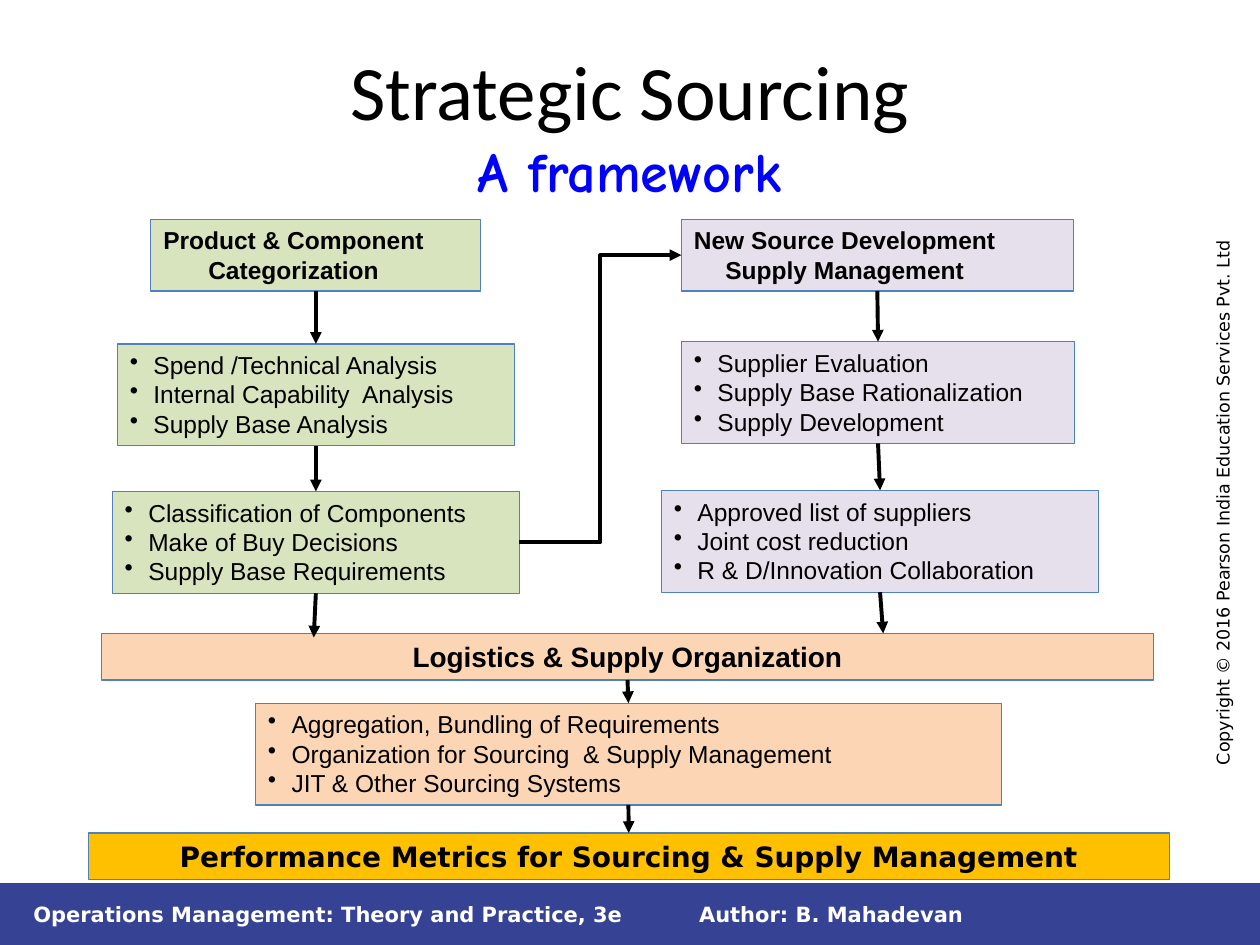
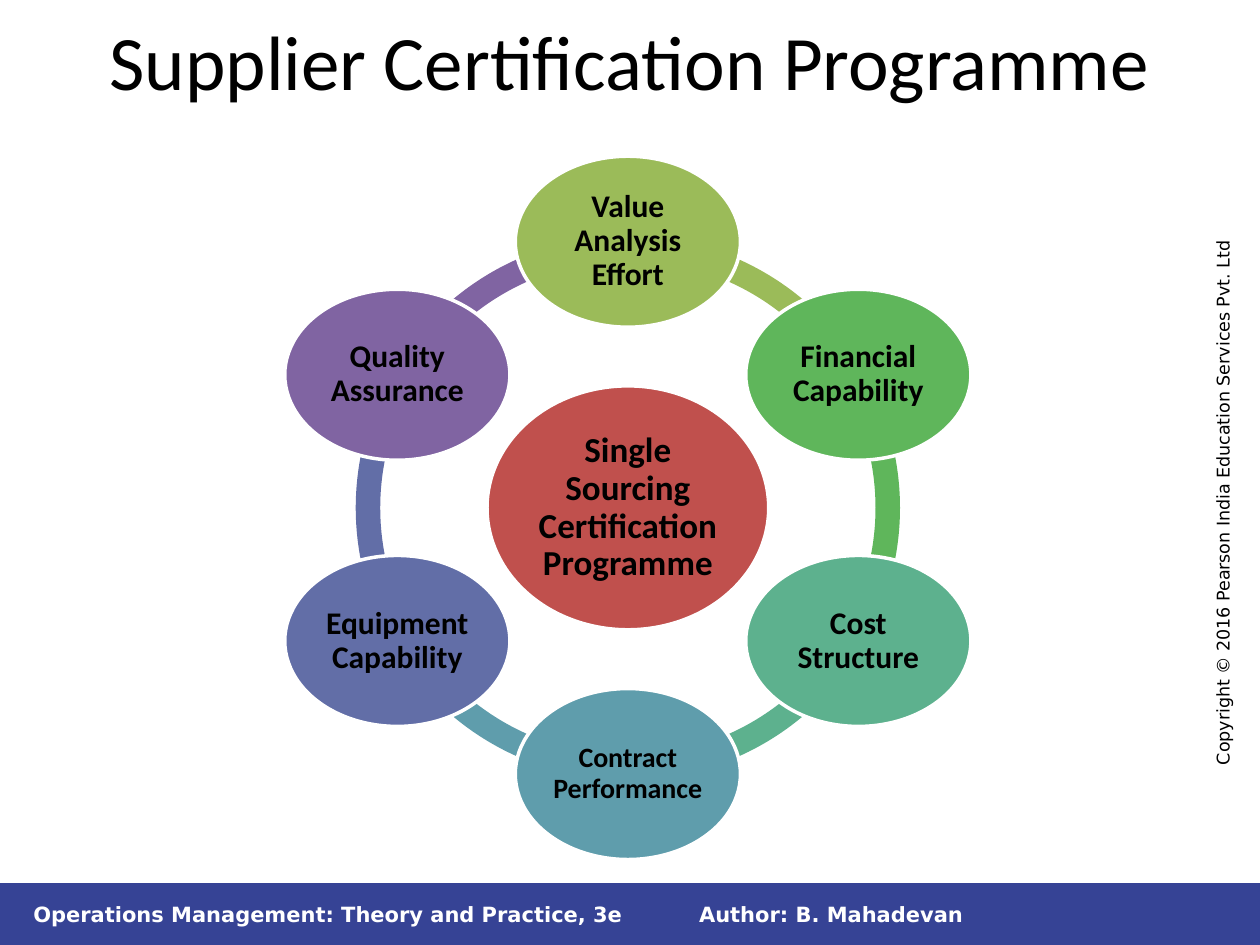
from dataclasses import dataclass
from math import cos, radians, sin
from typing import Any, NamedTuple, Optional

from lxml import etree
from pptx import Presentation
from pptx.dml.color import RGBColor
from pptx.enum.shapes import MSO_CONNECTOR as CX, MSO_SHAPE as SHAPE
from pptx.enum.text import MSO_ANCHOR as ANCHOR, MSO_AUTO_SIZE as FIT, PP_ALIGN as ALIGN
from pptx.oxml.ns import qn
from pptx.util import Pt

# Colours
BLACK = RGBColor(0x00, 0x00, 0x00)
WHITE = RGBColor(0xFF, 0xFF, 0xFF)
BLUE = RGBColor(0x00, 0x00, 0xFF)
NAVY = RGBColor(0x36, 0x43, 0x95)
BORDER = RGBColor(0x4F, 0x81, 0xBD)
GREEN = RGBColor(0xD7, 0xE4, 0xBD)
LILAC = RGBColor(0xE6, 0xE0, 0xEC)
PEACH = RGBColor(0xFC, 0xD5, 0xB5)
GOLD = RGBColor(0xFF, 0xC0, 0x00)
RED = RGBColor(0xC0, 0x50, 0x4D)
OLIVE = RGBColor(0x9B, 0xBB, 0x59)
LEAF = RGBColor(0x5F, 0xB6, 0x5B)
SEA = RGBColor(0x5D, 0xB1, 0x8E)
TEAL = RGBColor(0x5F, 0x9D, 0xAC)
INDIGO = RGBColor(0x62, 0x6E, 0xA7)
PURPLE = RGBColor(0x80, 0x64, 0xA2)

ARIAL, CALIBRI, COMIC, DEJAVU = "Arial", "Calibri", "Comic Neue", "DejaVu Sans"
TOP, LEFT, BOTTOM, RIGHT = range(4)
BULLET_INDENT = Pt(13.5)


class Rect(NamedTuple):
    left: float
    top: float
    width: float
    height: float


class Style(NamedTuple):
    font: str
    size: float
    color: RGBColor = BLACK
    bold: bool = False


TITLE = Style(CALIBRI, 44)
SUBTITLE = Style(COMIC, 32, BLUE, True)
FOOTER = Style(DEJAVU, 12, WHITE, True)
COPYRIGHT = Style(DEJAVU, 10)
HEAD = Style(ARIAL, 14, bold=True)
ITEM = Style(ARIAL, 14)
BAR = Style(ARIAL, 16, bold=True)
METRICS_BAR = Style(DEJAVU, 16, bold=True)


@dataclass
class Box:
    name: str
    rect: Rect
    fill: RGBColor
    lines: list[str]
    style: Style = ITEM
    wrap: bool = False


@dataclass
class Arrow:
    start: str
    end: Optional[str] = None
    tip: tuple[float, float] = (0, 0)
    sides: tuple[int, int] = (BOTTOM, TOP)
    kind: CX = CX.STRAIGHT


class Node(NamedTuple):
    text: str
    fill: RGBColor
    size: float = 18


def set_all(obj: Any, values: dict[str, Any]) -> None:
    for name, value in values.items():
        setattr(obj, name, value)


def add_run(p: Any, text: str, style: Style) -> None:
    r = p.add_run()
    r.text = text
    set_all(r.font, {"name": style.font, "size": Pt(style.size), "bold": style.bold})
    r.font.color.rgb = style.color


def add_bullet(p: Any) -> None:
    pPr = p._p.get_or_add_pPr()
    pPr.set("marL", str(BULLET_INDENT))
    pPr.set("indent", str(-BULLET_INDENT))
    etree.SubElement(pPr, qn("a:buChar")).set("char", "•")


def add_shape(slide: Any, kind: SHAPE, rect: Rect, fill: RGBColor,
              line: Optional[RGBColor] = None, width: float = 0.75) -> Any:
    sp = slide.shapes.add_shape(kind, *map(Pt, rect))
    sp.shadow.inherit = False
    sp.fill.solid()
    sp.fill.fore_color.rgb = fill
    if line is None:
        sp.line.fill.background()
    else:
        sp.line.color.rgb = line
        sp.line.width = Pt(width)
    return sp


def add_text(slide: Any, rect: Rect, text: str, style: Style,
             anchor: ANCHOR = ANCHOR.TOP, align: ALIGN = ALIGN.LEFT) -> Any:
    sp = slide.shapes.add_textbox(*map(Pt, rect))
    set_all(sp.text_frame, {"word_wrap": True, "vertical_anchor": anchor})
    p = sp.text_frame.paragraphs[0]
    p.alignment = align
    add_run(p, text, style)
    return sp


def add_frame(prs: Any, title: str, title_top: float, subtitle: str = "") -> Any:
    """Add a slide with the shared band, footers, copyright line and title."""
    slide = prs.slides.add_slide(prs.slide_layouts[6])
    add_shape(slide, SHAPE.RECTANGLE, Rect(0, 504.7, 720, 35.3), NAVY)
    for left, width, text in (
        (392.4, 327, "Author: B. Mahadevan"),
        (12, 360, "Operations Management: Theory and Practice, 3e"),
    ):
        add_text(slide, Rect(left, 511.4, width, 21.8), text, FOOTER, ANCHOR.MIDDLE)
    sp = add_text(slide, Rect(536.4, 272.2, 324.7, 19.4),
                  "Copyright © 2016 Pearson India Education Services Pvt. Ltd", COPYRIGHT)
    sp.rotation = 270
    sp = add_text(slide, Rect(36, title_top, 648, 90), title, TITLE, align=ALIGN.CENTER)
    if subtitle:
        p = sp.text_frame.paragraphs[0]
        p.add_line_break()
        add_run(p, subtitle, SUBTITLE)
    return slide


def add_box(slide: Any, box: Box) -> Any:
    sp = add_shape(slide, SHAPE.RECTANGLE, box.rect, box.fill, BORDER)
    tf = sp.text_frame
    set_all(tf, {"word_wrap": box.wrap, "vertical_anchor": ANCHOR.TOP,
                 "auto_size": FIT.SHAPE_TO_FIT_TEXT})
    for i, line in enumerate(box.lines):
        p = tf.add_paragraph() if i else tf.paragraphs[0]
        # A heading starts at the left and centres its second line
        centred = box.style in (BAR, METRICS_BAR) or (box.style == HEAD and i > 0)
        p.alignment = ALIGN.CENTER if centred else ALIGN.LEFT
        if box.style == ITEM:
            add_bullet(p)
        add_run(p, line, box.style)
    return sp


def add_arrow(slide: Any, arrow: Arrow, boxes: dict[str, Any]) -> None:
    x, y = map(Pt, arrow.tip)
    cx = slide.shapes.add_connector(arrow.kind, x, y, x, y)
    cx.begin_connect(boxes[arrow.start], arrow.sides[0])
    if arrow.end:
        cx.end_connect(boxes[arrow.end], arrow.sides[1])
    cx.line.color.rgb = BLACK
    cx.line.width = Pt(2.25)
    etree.SubElement(cx.line._get_or_add_ln(), qn("a:tailEnd")).set("type", "triangle")
    etree.SubElement(cx._element.spPr, qn("a:effectLst"))


def add_ellipse(slide: Any, cx: float, cy: float, width: float, height: float,
                node: Node) -> None:
    rect = Rect(cx - width / 2, cy - height / 2, width, height)
    sp = add_shape(slide, SHAPE.OVAL, rect, node.fill, WHITE, 2)
    tf = sp.text_frame
    margins = ("margin_left", "margin_top", "margin_right", "margin_bottom")
    set_all(tf, {"word_wrap": True, "vertical_anchor": ANCHOR.MIDDLE,
                 **dict.fromkeys(margins, Pt(node.size / 10))})
    p = tf.paragraphs[0]
    set_all(p, {"alignment": ALIGN.CENTER, "line_spacing": 0.9})
    add_run(p, node.text, Style(CALIBRI, node.size, bold=True))


# Slide 1: sourcing framework
BOXES = [
    Box("categorization", Rect(86.2, 125.3, 188.6, 41), GREEN,
        ["Product & Component", "Categorization"], HEAD),
    Box("analysis", Rect(67.1, 196.5, 226.8, 58.2), GREEN,
        ["Spend /Technical Analysis", "Internal Capability  Analysis",
         "Supply Base Analysis"]),
    Box("classification", Rect(64.2, 280.8, 232.6, 58.2), GREEN,
        ["Classification of Components", "Make of Buy Decisions",
         "Supply Base Requirements"]),
    Box("development", Rect(389.4, 125.3, 223.9, 41), LILAC,
        ["New Source Development", "Supply Management"], HEAD),
    Box("evaluation", Rect(389.4, 195.2, 224.7, 58.2), LILAC,
        ["Supplier Evaluation", "Supply Base Rationalization", "Supply Development"]),
    Box("collaboration", Rect(378, 280.2, 249.8, 58.2), LILAC,
        ["Approved list of suppliers", "Joint cost reduction",
         "R & D/Innovation Collaboration"]),
    Box("logistics", Rect(58, 362, 601.2, 26.6), PEACH,
        ["Logistics & Supply Organization"], BAR, True),
    Box("metrics", Rect(50.4, 476, 617.8, 26.6), GOLD,
        ["Performance Metrics for Sourcing & Supply Management"], METRICS_BAR, True),
    Box("organization", Rect(146, 401.8, 426.2, 58.2), PEACH,
        ["Aggregation, Bundling of Requirements",
         "Organization for Sourcing  & Supply Management",
         "JIT & Other Sourcing Systems"], wrap=True),
]
ARROWS = [
    Arrow("categorization", "analysis"),
    Arrow("analysis", "classification"),
    Arrow("development", "evaluation"),
    Arrow("evaluation", "collaboration"),
    Arrow("classification", tip=(179.3, 364.3)),
    Arrow("organization", "metrics"),
    Arrow("logistics", "organization"),
    Arrow("classification", "development", sides=(RIGHT, LEFT), kind=CX.ELBOW),
    Arrow("collaboration", tip=(504.7, 362)),
]


def build_framework(prs: Any) -> None:
    slide = add_frame(prs, "Strategic Sourcing", 21.6, "A framework")
    boxes = {box.name: add_box(slide, box) for box in BOXES}
    for arrow in ARROWS:
        add_arrow(slide, arrow, boxes)


# Slide 2: certification wheel, clockwise from the top
NODES = [
    Node("Value Analysis Effort", OLIVE),
    Node("Financial Capability", LEAF),
    Node("Cost Structure", SEA),
    Node("Contract Performance", TEAL, 16),
    Node("Equipment Capability", INDIGO),
    Node("Quality Assurance", PURPLE),
]
HUB = Node("Single Sourcing Certification Programme", RED, 20)
HUB_X, HUB_Y = 358.8, 290.2
RING_RADIUS, NODE_RADIUS = 155.5, 152.1
STEP = 360 // len(NODES)


def build_wheel(prs: Any) -> None:
    slide = add_frame(prs, "Supplier Certification Programme", 4.3)
    ring = Rect(HUB_X - RING_RADIUS, HUB_Y - RING_RADIUS, 2 * RING_RADIUS, 2 * RING_RADIUS)
    angles = [(270 + STEP * i) % 360 for i in range(len(NODES))]
    for angle, node in reversed(list(zip(angles, NODES))):
        sp = add_shape(slide, SHAPE.BLOCK_ARC, ring, node.fill)
        # Angles are kept in 60000ths of a degree, scaled by 100000
        for i, value in enumerate((angle * 0.6, (angle + STEP) % 360 * 0.6, 0.045)):
            sp.adjustments[i] = value
    add_ellipse(slide, HUB_X, HUB_Y, 161, 139.4, HUB)
    for angle, node in zip(angles, NODES):
        x = HUB_X + NODE_RADIUS * cos(radians(angle))
        y = HUB_Y + NODE_RADIUS * sin(radians(angle))
        add_ellipse(slide, x, y, 128.7, 97.7, node)


def main() -> None:
    prs = Presentation()
    prs.slide_width, prs.slide_height = Pt(720), Pt(540)
    build_framework(prs)
    build_wheel(prs)
    prs.save("out.pptx")


if __name__ == "__main__":
    main()
